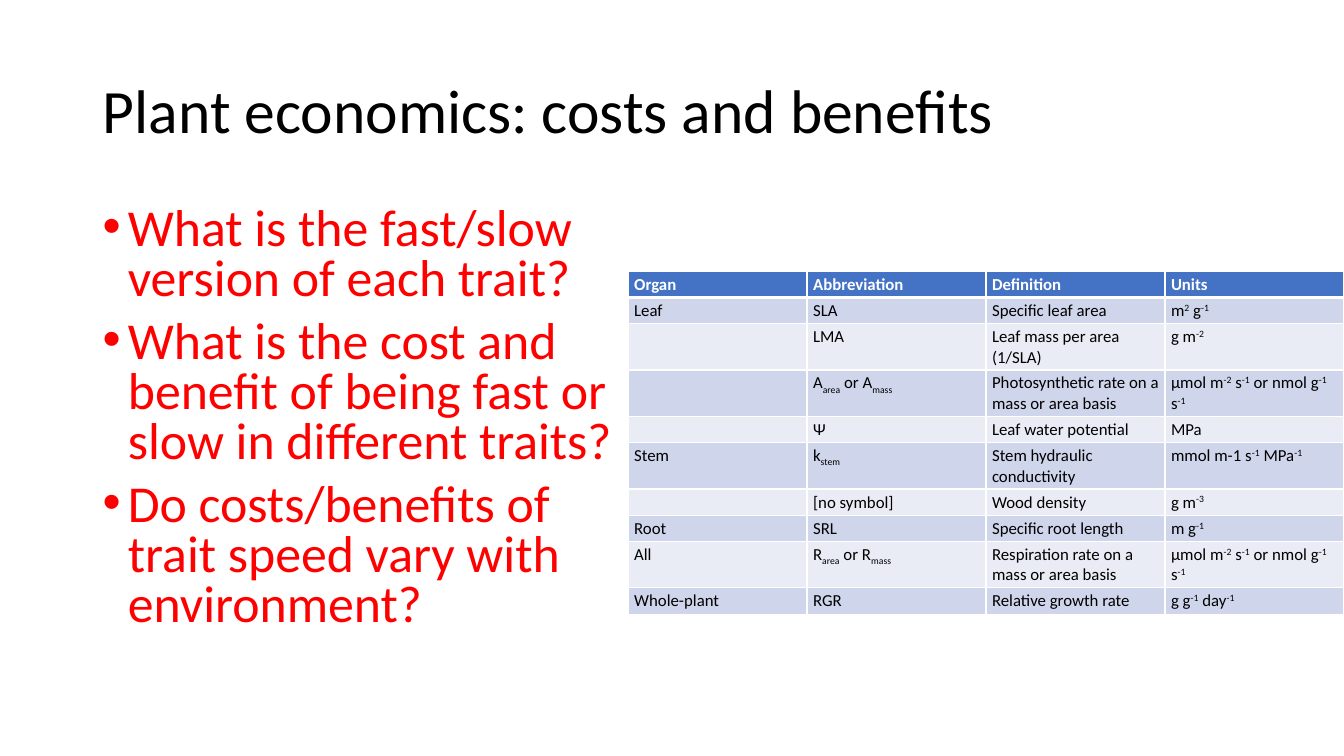
from lxml.etree import SubElement
from pptx import Presentation
from pptx.dml.color import RGBColor
from pptx.enum.text import MSO_ANCHOR, MSO_AUTO_SIZE, PP_ALIGN
from pptx.oxml.ns import qn
from pptx.util import Inches, Pt

BLACK = RGBColor(0x00, 0x00, 0x00)
WHITE = RGBColor(0xFF, 0xFF, 0xFF)
RED = RGBColor(0xFF, 0x00, 0x00)
BLUE = RGBColor(0x44, 0x72, 0xC4)
DARK = RGBColor(0xCF, 0xD5, 0xEA)
LIGHT = RGBColor(0xE9, 0xEB, 0xF5)

SHIFTS = {"^": "30000", "_": "-25000"}

QUESTIONS = [
    "What is the fast/slow version of each trait?",
    "What is the cost and benefit of being fast or slow in different traits?",
    "Do costs/benefits of trait speed vary with environment?",
]

# "|" parts the runs of a cell; "^" raises a run and "_" lowers it.
RATE = "µmol m|^-2| s|^-1| or nmol g|^-1| s|^-1"
TRAITS = [
    ("Organ", "Abbreviation", "Definition", "Units"),
    ("Leaf", "SLA", "Specific leaf area", "m|^2| g|^-1"),
    ("", "LMA", "Leaf mass per area (1/SLA)", "g m|^-2"),
    ("", "A|_area| or A|_mass", "Photosynthetic rate on a mass or area basis", RATE),
    ("", "Ψ", "Leaf water potential", "MPa"),
    ("Stem", "k|_stem", "Stem hydraulic conductivity", "mmol m-1 s|^-1| MPa|^-1"),
    ("", "[no symbol]", "Wood density", "g m|^-3"),
    ("Root", "SRL", "Specific root length", "m g|^-1"),
    ("All", "R|_area| or R|_mass", "Respiration rate on a mass or area basis", RATE),
    ("Whole-plant", "RGR", "Relative growth rate", "g g|^-1| day|^-1"),
]
TALL = {3, 5, 8, 2}


def write(para, text, size, color=BLACK, bold=False, font="Calibri"):
    """Fill a paragraph with runs, raising or lowering the marked ones."""
    for part in text.split("|") if text else []:
        run = para.add_run()
        run.text = part.lstrip("^_")
        run.font.size = Pt(size)
        run.font.name = font
        run.font.bold = bold
        run.font.color.rgb = color
        if part[0] in SHIFTS:
            run._r.get_or_add_rPr().set("baseline", SHIFTS[part[0]])
    if not text:
        SubElement(para._p, qn("a:endParaRPr"), sz=str(size * 100))


def edge(cell, **widths):
    """Draw white cell borders; widths in points by side."""
    props = cell._tc.get_or_add_tcPr()
    for side in "LRTB":
        line = SubElement(props, qn("a:ln" + side), w=str(Pt(widths.get(side, 1))))
        fill = SubElement(line, qn("a:solidFill"))
        SubElement(fill, qn("a:srgbClr"), val=str(WHITE))


class Page:
    def __init__(self, deck):
        self.slide = deck.slides.add_slide(deck.slide_layouts[5])

    def title(self, text, x, y, w, h):
        shape = self.slide.shapes.title
        shape.left, shape.top, shape.width, shape.height = map(Inches, (x, y, w, h))
        frame = shape.text_frame
        frame.auto_size = MSO_AUTO_SIZE.NONE
        frame.vertical_anchor = MSO_ANCHOR.MIDDLE
        para = frame.paragraphs[0]
        para.alignment = PP_ALIGN.LEFT
        para.line_spacing = 0.9
        write(para, text, 44)

    def bullets(self, items, x, y, w, h):
        frame = self.slide.shapes.add_textbox(*map(Inches, (x, y, w, h))).text_frame
        frame.word_wrap = True
        for i, item in enumerate(items):
            para = frame.add_paragraph() if i else frame.paragraphs[0]
            para.line_spacing = 0.8
            para.space_before = Pt(10 if i else 0)
            props = para._p.get_or_add_pPr()
            props.set("marL", str(Inches(0.25)))
            props.set("indent", str(Inches(-0.25)))
            SubElement(props, qn("a:buFont"), typeface="Arial")
            SubElement(props, qn("a:buChar"), char="•")
            write(para, item, 37, color=RED)

    def table(self, rows, x, y, w, h):
        size = len(rows), len(rows[0])
        table = self.slide.shapes.add_table(*size, *map(Inches, (x, y, w, h))).table
        for r, row in enumerate(rows):
            table.rows[r].height = Inches(0.45 if r in TALL else 0.26)
            for c, text in enumerate(row):
                self.cell(table.cell(r, c), text, r)

    def cell(self, cell, text, row):
        head = row == 0
        cell.margin_left = cell.margin_right = Inches(0.06)
        cell.margin_top = cell.margin_bottom = Inches(0.03)
        edge(cell, B=3 if head else 1, T=3 if row == 1 else 1)
        cell.fill.solid()
        cell.fill.fore_color.rgb = BLUE if head else DARK if row % 2 else LIGHT
        write(cell.text_frame.paragraphs[0], text, 12,
              color=WHITE if head else BLACK, bold=head)


def main():
    deck = Presentation()
    deck.slide_width, deck.slide_height = Inches(13.33), Inches(7.5)
    page = Page(deck)
    page.title("Plant economics: costs and benefits", 0.92, 0.4, 11.5, 1.45)
    page.bullets(QUESTIONS, 0.92, 2, 5.61, 4.76)
    page.table(TRAITS, 6.23, 2.69, 7.1, 3.42)
    deck.save("out.pptx")


if __name__ == "__main__":
    main()
